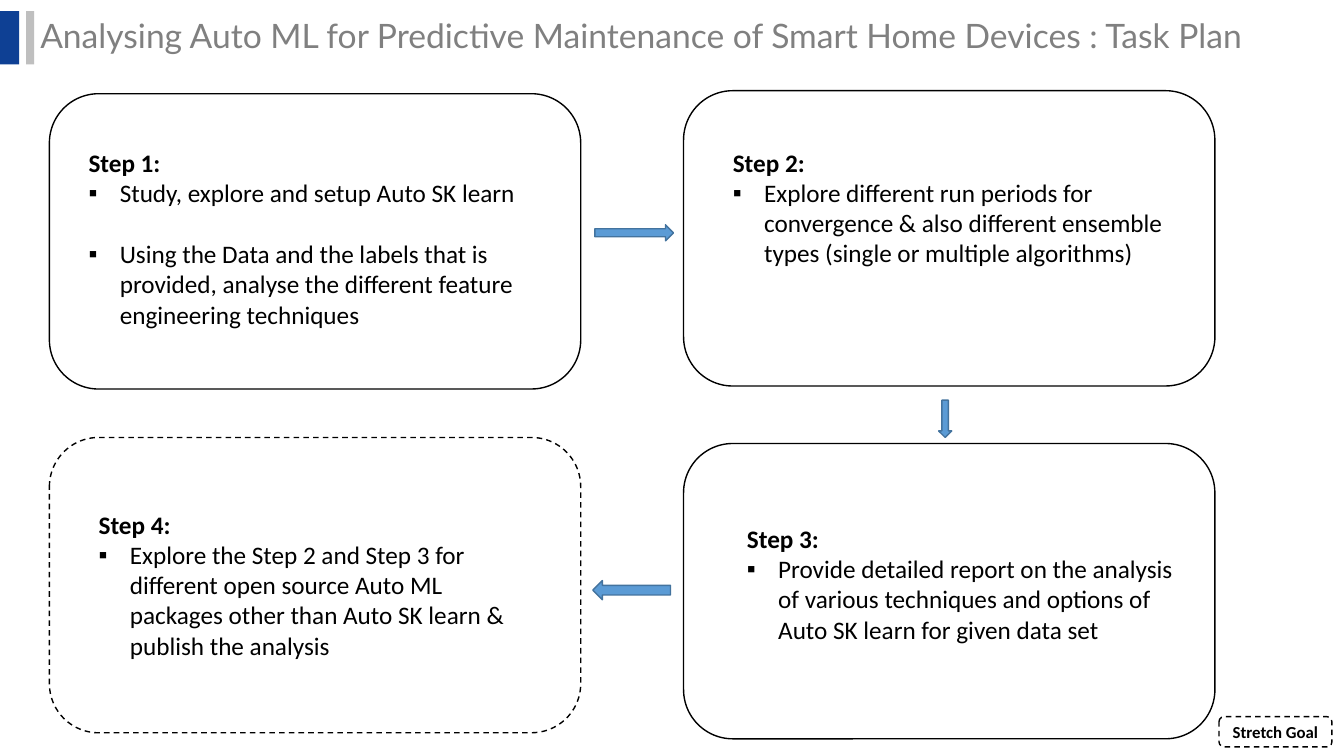
from pptx import Presentation
from pptx.dml.color import RGBColor
from pptx.enum.dml import MSO_LINE
from pptx.enum.shapes import MSO_SHAPE
from pptx.enum.text import MSO_ANCHOR, MSO_AUTO_SIZE, PP_ALIGN
from pptx.util import Inches, Pt
from lxml import etree

BOX_W, BOX_H = 5.27, 2.93
TEXT_W, INDENT = 4.48, 0.31
LINE_GAP = 22  # one line of 18 pt text

prs = Presentation()
prs.slide_width, prs.slide_height = Inches(13.33), Inches(7.5)
s = prs.slides.add_slide(prs.slide_layouts[5])


def add_shape(kind, box, fill=None, line=None, dashed=False):
    """Add a preset shape at box (inches) with optional fill and outline."""
    sp = s.shapes.add_shape(kind, *[Inches(v) for v in box])
    sp.shadow.inherit = False
    if fill:
        sp.fill.solid()
        sp.fill.fore_color.rgb = RGBColor.from_string(fill)
    else:
        sp.fill.background()
    if line:
        sp.line.color.rgb = RGBColor.from_string(line)
        sp.line.width = Pt(1)
        if dashed:
            sp.line.dash_style = MSO_LINE.DASH
    else:
        sp.line.fill.background()
    return sp


def add_run(p, text, size, color="000000", font="Calibri", bold=False):
    """Append a formatted run to a paragraph."""
    r = p.add_run()
    r.text = text
    r.font.size, r.font.name, r.font.bold = Pt(size), font, bold
    r.font.color.rgb = RGBColor.from_string(color)


# Title and its accent bars
title = s.shapes.title
title.left, title.top = Inches(0.3), Inches(0.1)
title.width, title.height = Inches(12.35), Inches(0.5)
tf = title.text_frame
tf.word_wrap, tf.auto_size = True, MSO_AUTO_SIZE.NONE
tf.vertical_anchor = MSO_ANCHOR.MIDDLE
p = tf.paragraphs[0]
p.alignment = PP_ALIGN.LEFT
add_run(p, "Analysing Auto ML for Predictive Maintenance of Smart Home Devices : Task Plan",
        24, "808080", "Lato")
add_shape(MSO_SHAPE.RECTANGLE, (0, 0.11, 0.19, 0.53), "0E4094")
add_shape(MSO_SHAPE.RECTANGLE, (0.26, 0.11, 0.08, 0.53), "BFBFBF")

# Steps: box corner, text corner and height, dashed outline, bullets
steps = [
    ((0.49, 0.93), (0.78, 1.41), 1.92, False,
     ["Study, explore and setup Auto SK learn",
      "Using the Data and the labels that is provided, analyse the different "
      "feature engineering techniques"]),
    ((6.78, 0.9), (7.17, 1.41), 1.31, False,
     ["Explore different run periods for convergence & also different ensemble "
      "types (single or multiple algorithms)"]),
    ((6.78, 4.4), (7.31, 5.14), 1.31, False,
     ["Provide detailed report on the analysis of various techniques and options "
      "of Auto SK learn for given data set"]),
    ((0.49, 4.34), (0.88, 5), 1.62, True,
     ["Explore the Step 2 and Step 3 for different open source Auto ML packages "
      "other than Auto SK learn & publish the analysis"]),
]
for number, (corner, text_at, text_h, dashed, bullets) in enumerate(steps, 1):
    add_shape(MSO_SHAPE.ROUNDED_RECTANGLE, (*corner, BOX_W, BOX_H),
              line="000000", dashed=dashed)
    tb = s.shapes.add_textbox(*[Inches(v) for v in (*text_at, TEXT_W, text_h)])
    tf = tb.text_frame
    tf.word_wrap = True
    add_run(tf.paragraphs[0], f"Step {number}:", 18, bold=True)
    for i, bullet in enumerate(bullets):
        p = tf.add_paragraph()
        p.space_before = Pt(LINE_GAP if i else 0)
        pPr = p._p.get_or_add_pPr()
        pPr.set("marL", str(Inches(INDENT)))
        pPr.set("indent", str(-Inches(INDENT)))
        ns = pPr.nsmap["a"]
        etree.SubElement(pPr, f"{{{ns}}}buFont", typeface="Arial")
        etree.SubElement(pPr, f"{{{ns}}}buChar", char="▪")
        add_run(p, bullet, 18)

# Legend for the dashed outline
legend = add_shape(MSO_SHAPE.ROUNDED_RECTANGLE, (12.09, 7.11, 1.12, 0.3),
                   line="000000", dashed=True)
tf = legend.text_frame
tf.word_wrap = True
tf.vertical_anchor = MSO_ANCHOR.MIDDLE
tf.paragraphs[0].alignment = PP_ALIGN.CENTER
add_run(tf.paragraphs[0], "Stretch Goal", 12, bold=True)

# Arrows from step to step
for kind, box in [
    (MSO_SHAPE.RIGHT_ARROW, (5.9, 2.23, 0.78, 0.16)),
    (MSO_SHAPE.DOWN_ARROW, (9.31, 3.97, 0.13, 0.37)),
    (MSO_SHAPE.LEFT_ARROW, (5.88, 5.76, 0.77, 0.19)),
]:
    add_shape(kind, box, "5B9BD5", "43739E")

prs.save("out.pptx")
